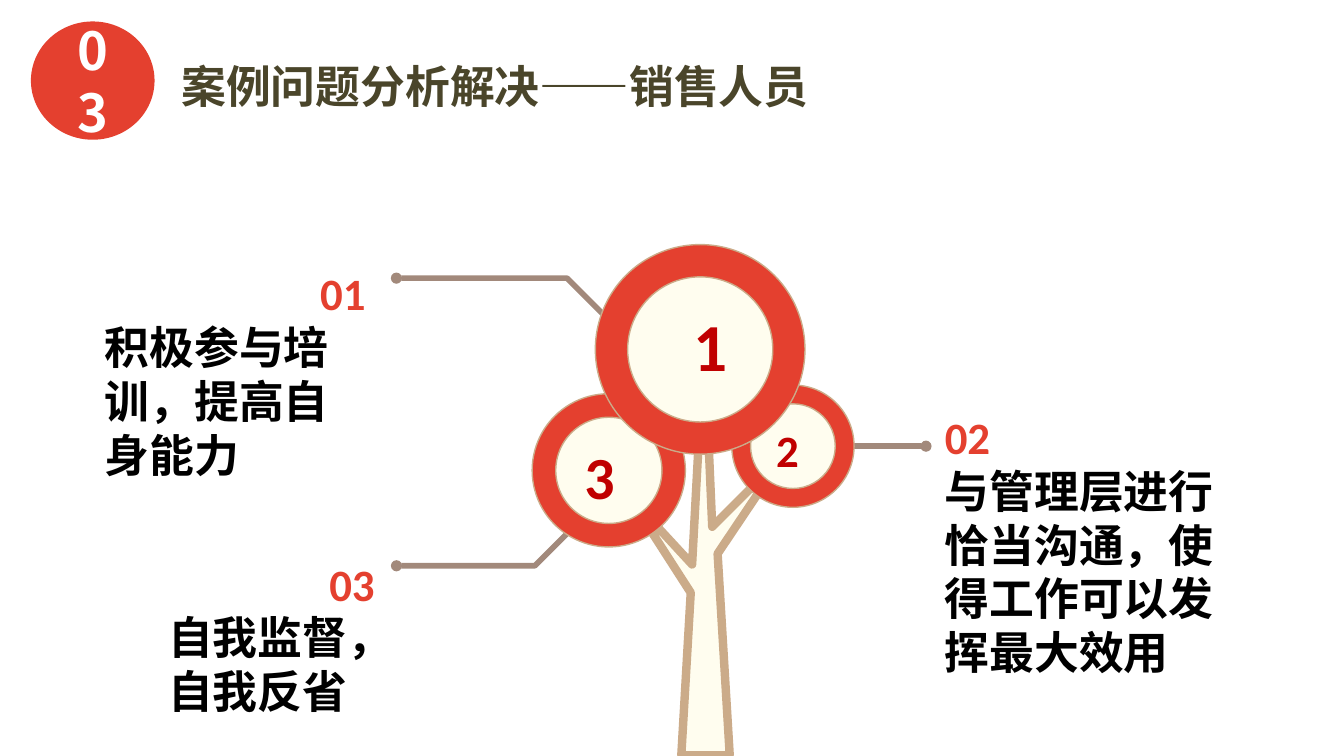
from lxml import etree
from pptx import Presentation
from pptx.dml.color import RGBColor
from pptx.enum.shapes import MSO_CONNECTOR, MSO_SHAPE
from pptx.enum.text import MSO_ANCHOR, PP_ALIGN
from pptx.oxml.ns import qn
from pptx.util import Inches, Pt

OVAL = MSO_SHAPE.OVAL
STRAIGHT = MSO_CONNECTOR.STRAIGHT
LEFT, CENTER, RIGHT = PP_ALIGN.LEFT, PP_ALIGN.CENTER, PP_ALIGN.RIGHT
TOP, MIDDLE = MSO_ANCHOR.TOP, MSO_ANCHOR.MIDDLE

COLORS = {
    "red": "E4402F", "dark": "C00000", "cream": "FFFDEF", "bark": "CBAB89",
    "twig": "A2897B", "title": "4A452A", "black": "000000", "white": "FFFFFF",
}
BODY, HEAD = "Calibri", "Noto Sans CJK SC"

deck = Presentation()
deck.slide_width = Inches(10)
deck.slide_height = Inches(10 * 9 / 16)
slide = deck.slides.add_slide(deck.slide_layouts[6])
shapes = slide.shapes


def paint(shape, fill, line, width):
    """Set fill and outline; None means none."""
    shape.shadow.inherit = False
    if fill:
        shape.fill.solid()
        shape.fill.fore_color.rgb = RGBColor.from_string(COLORS[fill])
    else:
        shape.fill.background()
    if line:
        shape.line.color.rgb = RGBColor.from_string(COLORS[line])
        shape.line.width = Pt(width)
    else:
        shape.line.fill.background()


def write(para, text, size, color, face=BODY, align=LEFT, indent=0):
    para.text = text
    para.alignment = align
    font = para.font
    font.size, font.bold, font.name = Pt(size), True, face
    font.color.rgb = RGBColor.from_string(COLORS[color])
    if indent:
        para._p.get_or_add_pPr().set("marL", str(Inches(indent)))


# Numbered notes: box, number, alignment and indent of the number, text
notes = [
    ((0.78, 1.98, 1.94, 1.62), "01", RIGHT, 0, "积极参与培训，提高自身能力"),
    ((1.25, 4.14, 1.65, 1.21), "03", LEFT, 1.2, "自我监督，自我反省"),
    ((7.03, 3.05, 2.27, 2.02), "02", LEFT, 0, "与管理层进行恰当沟通，使得工作可以发挥最大效用"),
]
for box, num, align, indent, text in notes:
    frame = shapes.add_textbox(*map(Inches, box)).text_frame
    frame.word_wrap = True
    frame.margin_left = frame.margin_right = 0
    frame.margin_top = frame.margin_bottom = 0
    write(frame.paragraphs[0], num, 24, "red", align=align, indent=indent)
    write(frame.add_paragraph(), text, 24, "black")

# Leader lines from the crowns to the notes, then the trunk
leads = [
    [(4.52, 2.37), (4.22, 2.07), (2.95, 2.07)],
    [(4.26, 3.93), (3.98, 4.21), (2.95, 4.21)],
]
trunk = [
    (5.07, 5.62), (5.43, 5.62), (5.34, 4.12), (5.83, 3.39), (5.3, 3.92),
    (5.24, 2.53), (5.15, 4.2), (4.67, 3.68), (5.14, 4.41),
]
dotted = []
for points in leads + [trunk]:
    spots = [(Inches(x), Inches(y)) for x, y in points]
    path = shapes.build_freeform(*spots[0])
    path.add_line_segments(spots[1:], close=points is trunk)
    shape = path.convert_to_shape()
    if points is trunk:
        paint(shape, "cream", "bark", 4.5)
    else:
        paint(shape, None, "twig", 3)
        dotted.append(shape)

link = shapes.add_connector(STRAIGHT, Inches(6.29), Inches(3.32), Inches(6.89), Inches(3.32))
link.line.color.rgb = RGBColor.from_string(COLORS["twig"])
link.line.width = Pt(3)
etree.SubElement(link._element.spPr, qn("a:effectLst"))
for item in dotted + [link]:
    etree.SubElement(item.line._get_or_add_ln(), qn("a:tailEnd"),
                     type="oval", w="sm", len="sm")

# Crowns: centre, outer and inner diameter, number, size, indent
crowns = [
    (5.9, 3.32, 0.91, 0.63, "2", 24, 0),
    (4.53, 3.5, 1.14, 0.79, "3", 32, 0),
    (5.21, 2.6, 1.56, 1.08, "1", 36, 0.23),
]
for x, y, outer, inner, num, size, indent in crowns:
    for wide, fill in ((outer, "red"), (inner, "cream")):
        disc = shapes.add_shape(OVAL, Inches(x - wide / 2), Inches(y - wide / 2),
                                Inches(wide), Inches(wide))
        paint(disc, fill, "bark", 0.75)
    disc.text_frame.vertical_anchor = TOP
    write(disc.text_frame.paragraphs[0], num, size, "dark", indent=indent)

# Section badge and title
badge = shapes.add_shape(OVAL, Inches(0.23), Inches(0.16), Inches(0.92), Inches(0.88))
paint(badge, "red", None, 0)
badge.text_frame.vertical_anchor = MIDDLE
write(badge.text_frame.paragraphs[0], "03", 28, "white", HEAD, CENTER)

title = shapes.add_textbox(Inches(1.25), Inches(0.39), Inches(8.62), Inches(0.47))
title.text_frame.word_wrap = True
write(title.text_frame.paragraphs[0], "案例问题分析解决——销售人员", 24, "title", HEAD)

deck.save("out.pptx")
